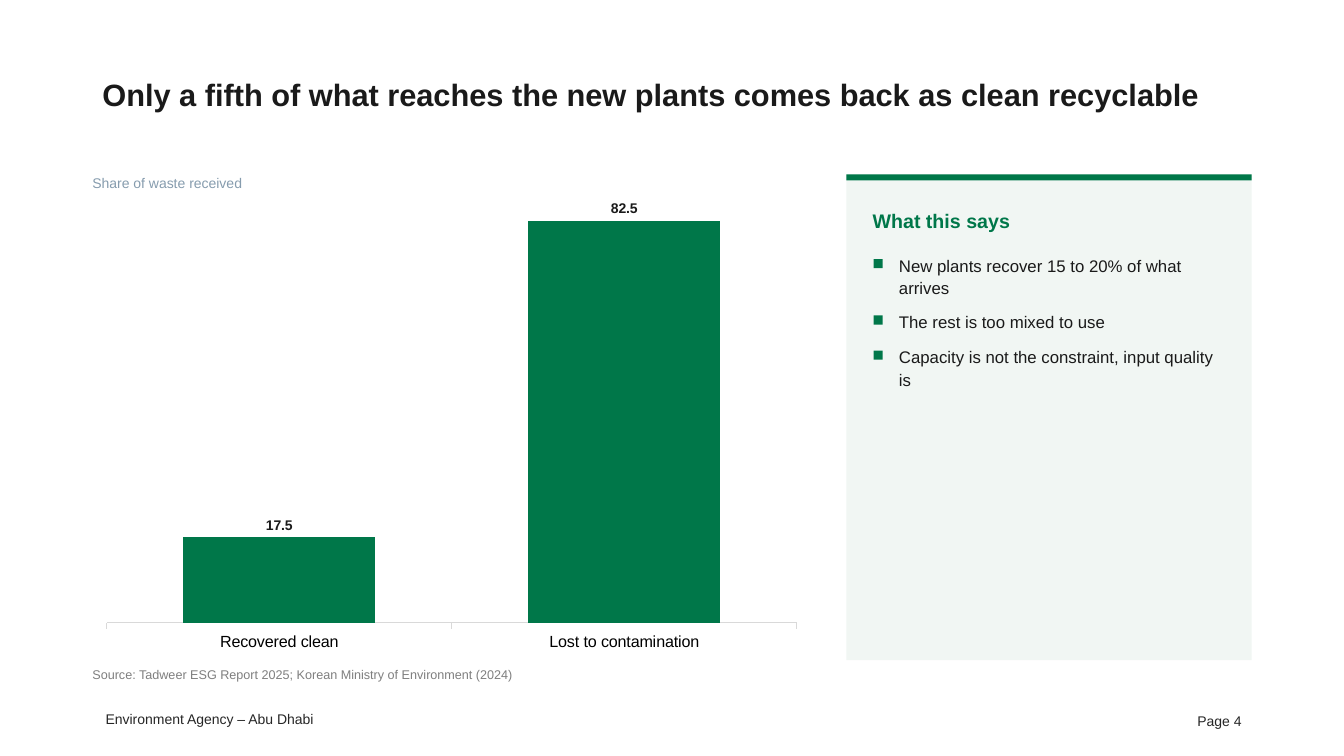
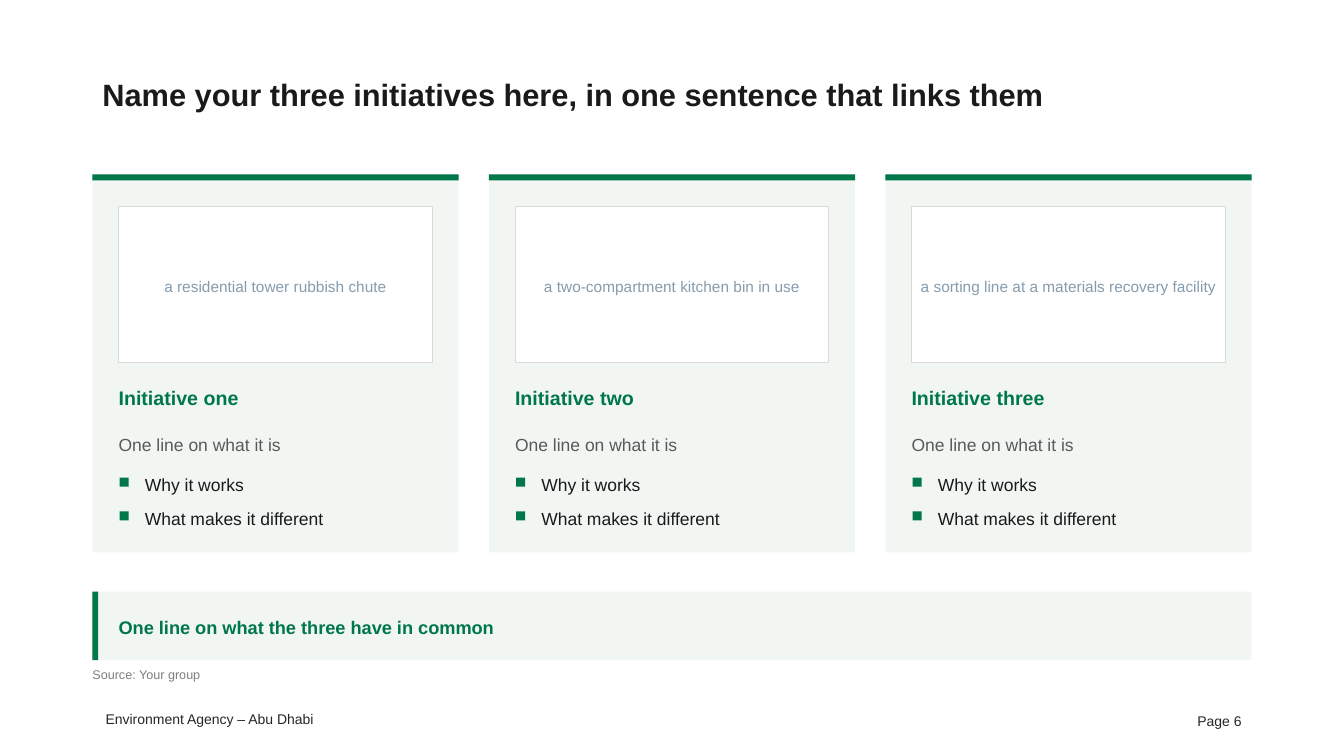
"""Build two slides on recycling: a chart with its takeaways, and three initiative cards."""
from dataclasses import dataclass
from typing import Any, Optional, Sequence

import pptx
import pptx.chart.data
import pptx.dml.color
import pptx.enum.chart
import pptx.enum.shapes
import pptx.enum.text
import pptx.util

Pt = pptx.util.Pt
Align = pptx.enum.text.PP_ALIGN
Anchor = pptx.enum.text.MSO_ANCHOR

FONT = "Arial"
GREEN, PALE, WHITE = "007749", "F1F6F3", "FFFFFF"
INK, FOOTER_INK, BODY_GREY = "1A1A1A", "262626", "595959"
SOURCE_GREY, CAPTION_BLUE, HAIRLINE = "7F7F7F", "869CAE", "D9D9D9"

LEFT, TOP, WIDTH, BOTTOM = 66, 124.6, 828, 471.6
PADDING, ACCENT, GUTTER = 18.7, 4.2, 21.6
CONTENT_TOP = 147.6
MARKER_SIZE, MARKER_DROP, MARKER_INDENT = 6.5, 4.4, 18.8
LINE_RATIO = 1.26
TITLE_ONLY_LAYOUT = 5


@dataclass(frozen=True)
class Frame:
    """A rectangle on the slide, in points."""

    left: float
    top: float
    width: float
    height: float

    def lengths(self) -> list[pptx.util.Length]:
        """Return the position and size as lengths."""
        return [Pt(value) for value in (self.left, self.top, self.width, self.height)]


@dataclass(frozen=True)
class Style:
    """The look of one paragraph and its box."""

    size: float
    color: str
    bold: bool = False
    align: Any = Align.LEFT
    anchor: Any = Anchor.TOP
    spacing: float = 1.12
    after: float = 3


@dataclass(frozen=True)
class Point:
    """One marked line of a list and the number of lines it fills."""

    text: str
    lines: int = 1


@dataclass(frozen=True)
class Initiative:
    """The words on one initiative card."""

    name: str
    illustration: str
    summary: str = "One line on what it is"
    points: tuple[Point, ...] = (Point("Why it works"), Point("What makes it different"))


TITLE = Style(22, INK, bold=True, anchor=Anchor.MIDDLE, spacing=1.05, after=0)
HEADING = Style(14, GREEN, bold=True)
CAPTION = Style(10, CAPTION_BLUE)
SOURCE = Style(9, SOURCE_GREY)
SUMMARY = Style(12.5, BODY_GREY)
TAKEAWAY = Style(12, INK)
POINT = Style(12.5, INK)
ILLUSTRATION = Style(11, CAPTION_BLUE, align=Align.CENTER, anchor=Anchor.MIDDLE)
COMMON_LINE = Style(13, GREEN, bold=True, anchor=Anchor.MIDDLE)
FOOTER = Style(10, FOOTER_INK, align=Align.RIGHT, spacing=1, after=0)
PAGE = Style(10, FOOTER_INK, align=Align.RIGHT, anchor=Anchor.MIDDLE, spacing=1, after=0)

TAKEAWAYS = (
    Point("New plants recover 15 to 20% of what arrives", 2),
    Point("The rest is too mixed to use"),
    Point("Capacity is not the constraint, input quality is", 2),
)
INITIATIVES = (
    Initiative("Initiative one", "a residential tower rubbish chute"),
    Initiative("Initiative two", "a two-compartment kitchen bin in use"),
    Initiative("Initiative three", "a sorting line at a materials recovery facility"),
)


def rgb(value: str) -> pptx.dml.color.RGBColor:
    """Turn a hex string into a colour."""
    return pptx.dml.color.RGBColor.from_string(value)


def style_font(font: Any, size: float, color: str, bold: bool = False) -> None:
    """Set the face, size, colour and weight of a font."""
    font.name, font.size, font.bold = FONT, Pt(size), bold
    font.color.rgb = rgb(color)


def write(shape: Any, text: str, style: Style, inset: float = 0, wrap: bool = True) -> None:
    """Fill a shape with one styled paragraph."""
    text_frame = shape.text_frame
    text_frame.auto_size = pptx.enum.text.MSO_AUTO_SIZE.NONE
    text_frame.word_wrap = wrap
    text_frame.vertical_anchor = style.anchor
    text_frame.margin_left = text_frame.margin_right = Pt(inset)
    text_frame.margin_top = text_frame.margin_bottom = Pt(inset / 2)
    paragraph = text_frame.paragraphs[0]
    paragraph.alignment = style.align
    paragraph.line_spacing = style.spacing
    paragraph.space_before = Pt(0)
    paragraph.space_after = Pt(style.after)
    run = paragraph.add_run()
    run.text = text
    style_font(run.font, style.size, style.color, style.bold)


def add_text(slide: Any, frame: Frame, text: str, style: Style,
             inset: float = 0, wrap: bool = True) -> None:
    """Add a text box."""
    write(slide.shapes.add_textbox(*frame.lengths()), text, style, inset, wrap)


def add_rectangle(slide: Any, frame: Frame, fill: str, line: Optional[str] = None) -> None:
    """Add a flat rectangle, outlined only if a line colour is given."""
    shape = slide.shapes.add_shape(
        pptx.enum.shapes.MSO_SHAPE.RECTANGLE, *frame.lengths())
    shape.shadow.inherit = False
    shape.fill.solid()
    shape.fill.fore_color.rgb = rgb(fill)
    if line:
        shape.line.color.rgb = rgb(line)
        shape.line.width = Pt(0.75)
    else:
        shape.line.fill.background()


def add_panel(slide: Any, frame: Frame) -> None:
    """Add a pale panel with a green bar along its top."""
    add_rectangle(slide, frame, PALE)
    add_rectangle(slide, Frame(frame.left, frame.top, frame.width, ACCENT), GREEN)


def add_points(slide: Any, left: float, top: float, width: float,
               points: Sequence[Point], style: Style, gap: float) -> None:
    """Stack points downwards, each with a green square beside its first line."""
    for point in points:
        height = point.lines * style.size * LINE_RATIO
        add_rectangle(slide, Frame(left + 0.7, top + MARKER_DROP, MARKER_SIZE, MARKER_SIZE),
                      GREEN)
        add_text(slide, Frame(left + MARKER_INDENT, top, width - MARKER_INDENT, height),
                 point.text, style)
        top += height + gap


def add_slide(presentation: Any, title: str, source: str, page: int) -> Any:
    """Add a slide with its title, source line and footer."""
    slide = presentation.slides.add_slide(presentation.slide_layouts[TITLE_ONLY_LAYOUT])
    shape = slide.shapes.title
    shape.left, shape.top, shape.width, shape.height = Frame(LEFT, 29, WIDTH, 75.6).lengths()
    write(shape, title, TITLE, inset=7.2)
    add_text(slide, Frame(LEFT, 475.2, 605, 16), source, SOURCE)
    add_text(slide, Frame(65.9, 504, 165, 19.4), "Environment Agency – Abu Dhabi",
             FOOTER, inset=7.2, wrap=False)
    add_text(slide, Frame(678, 500.4, 216, 28.8), f"Page {page}", PAGE, inset=7.2)
    return slide


def add_share_chart(slide: Any, frame: Frame) -> None:
    """Add the column chart of recovered and lost waste."""
    data = pptx.chart.data.CategoryChartData()
    data.categories = ["Recovered clean", "Lost to contamination"]
    data.add_series("Series 1", [17.5, 82.5])
    chart = slide.shapes.add_chart(
        pptx.enum.chart.XL_CHART_TYPE.COLUMN_CLUSTERED, *frame.lengths(), data).chart
    chart.has_title = chart.has_legend = False
    style_font(chart.font, 11.5, "000000")

    value_axis = chart.value_axis
    value_axis.visible = value_axis.has_major_gridlines = False
    value_axis.minimum_scale, value_axis.maximum_scale = 0, 90
    category_axis = chart.category_axis
    category_axis.major_tick_mark = pptx.enum.chart.XL_TICK_MARK.OUTSIDE
    category_axis.format.line.color.rgb = rgb(HAIRLINE)
    category_axis.format.line.width = Pt(0.75)

    plot = chart.plots[0]
    plot.gap_width = 80
    plot.vary_by_categories = False
    series = plot.series[0]
    series.format.fill.solid()
    series.format.fill.fore_color.rgb = rgb(GREEN)
    labels = series.data_labels
    labels.show_value = True
    labels.number_format, labels.number_format_is_linked = "General", False
    labels.position = pptx.enum.chart.XL_LABEL_POSITION.OUTSIDE_END
    style_font(labels.font, 10, INK, bold=True)


def add_card(slide: Any, frame: Frame, initiative: Initiative) -> None:
    """Add one initiative card."""
    add_panel(slide, frame)
    left, width = frame.left + PADDING, frame.width - 2 * PADDING
    illustration = Frame(left, CONTENT_TOP, width, 111.6)
    add_rectangle(slide, illustration, WHITE, HAIRLINE)
    add_text(slide, illustration, initiative.illustration, ILLUSTRATION)
    add_text(slide, Frame(left, 273.6, width, 23), initiative.name, HEADING)
    add_text(slide, Frame(left, 308.2, width, 19), initiative.summary, SUMMARY)
    add_points(slide, left, 336.8, width, initiative.points, POINT, gap=8.3)


def build_chart_slide(presentation: Any) -> None:
    """Build the slide on recovered waste."""
    slide = add_slide(
        presentation,
        "Only a fifth of what reaches the new plants comes back as clean recyclable",
        "Source: Tadweer ESG Report 2025; Korean Ministry of Environment (2024)", 4)
    chart_width, panel_width = 513.4, 289.4
    add_share_chart(slide, Frame(LEFT, TOP, chart_width, BOTTOM - TOP))
    add_text(slide, Frame(LEFT, 123.2, chart_width, 17), "Share of waste received", CAPTION)

    panel = Frame(LEFT + WIDTH - panel_width, TOP, panel_width, BOTTOM - TOP)
    add_panel(slide, panel)
    left, width = panel.left + PADDING, panel.width - 2 * PADDING
    add_text(slide, Frame(left, 147.2, width, 22), "What this says", HEADING)
    add_points(slide, left, 180.7, width, TAKEAWAYS, TAKEAWAY, gap=10)


def build_initiatives_slide(presentation: Any) -> None:
    """Build the slide with the three initiatives and their common line."""
    slide = add_slide(
        presentation, "Name your three initiatives here, in one sentence that links them",
        "Source: Your group", 6)
    count = len(INITIATIVES)
    card_width = (WIDTH - (count - 1) * GUTTER) / count
    for index, initiative in enumerate(INITIATIVES):
        left = LEFT + index * (card_width + GUTTER)
        add_card(slide, Frame(left, TOP, card_width, 270), initiative)

    band = Frame(LEFT, 422.6, WIDTH, BOTTOM - 422.6)
    add_rectangle(slide, band, PALE)
    add_rectangle(slide, Frame(band.left, band.top, ACCENT, band.height), GREEN)
    add_text(slide, Frame(LEFT + PADDING, band.top, WIDTH - 2 * PADDING, band.height),
             "One line on what the three have in common", COMMON_LINE)


def main() -> None:
    """Build and save the presentation."""
    presentation = pptx.Presentation()
    presentation.slide_width, presentation.slide_height = Pt(960), Pt(540)
    build_chart_slide(presentation)
    build_initiatives_slide(presentation)
    presentation.save("out.pptx")


if __name__ == "__main__":
    main()
